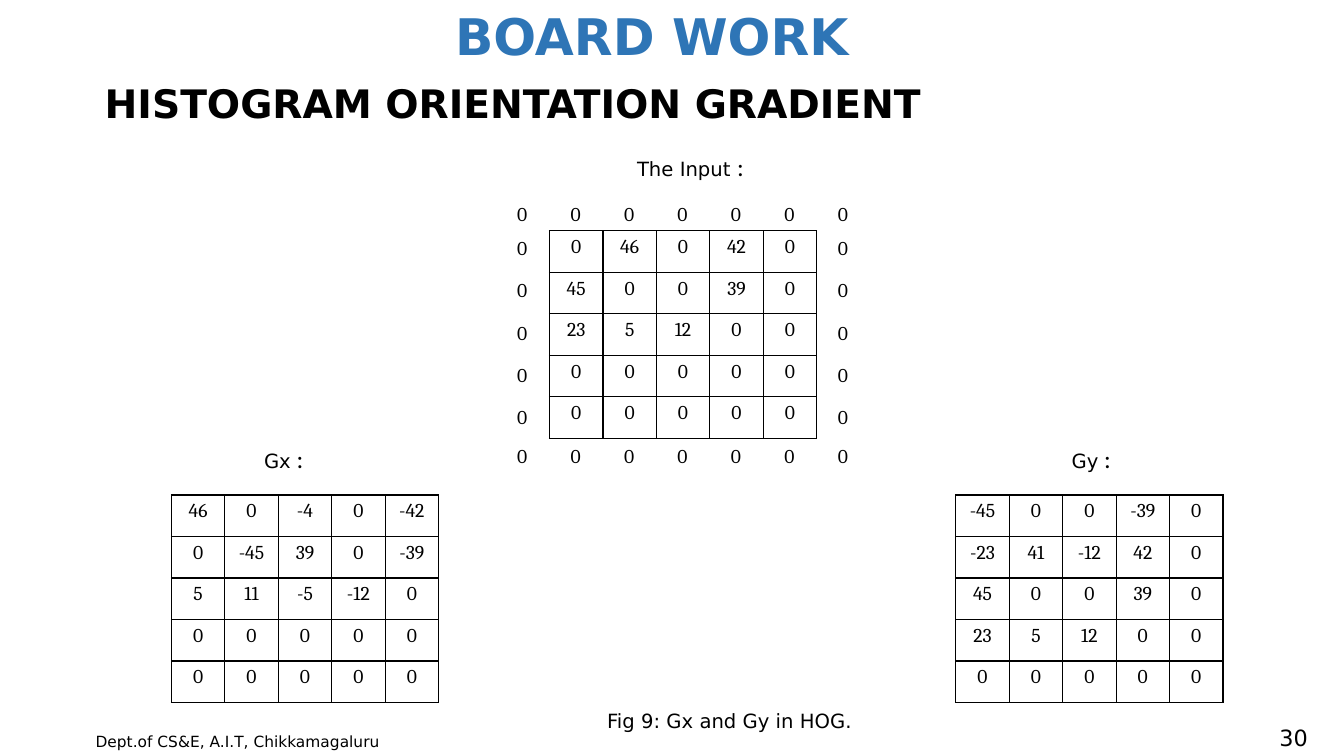
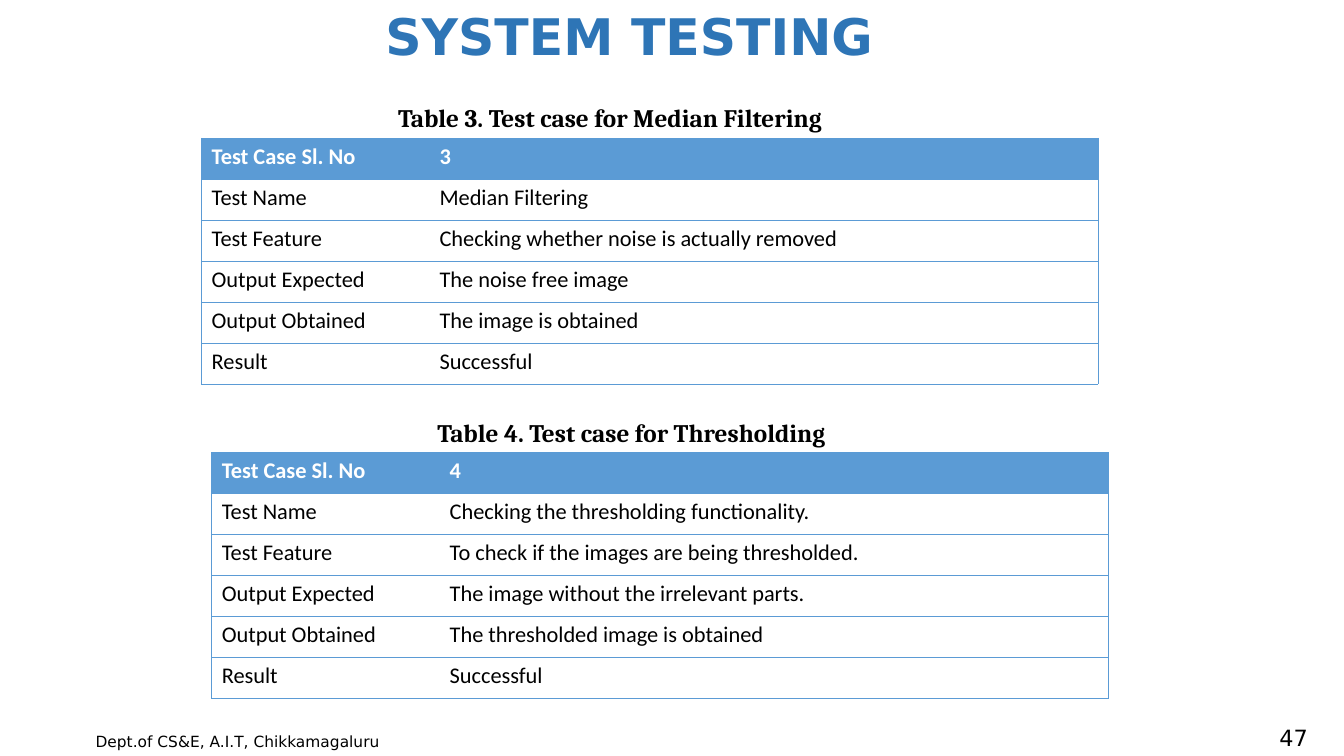
from pptx import Presentation
from pptx.dml.color import RGBColor
from pptx.enum.text import MSO_ANCHOR, MSO_AUTO_SIZE, PP_ALIGN
from pptx.oxml.ns import qn
from pptx.util import Inches, Pt
from lxml import etree

BLACK = RGBColor(0x00, 0x00, 0x00)
WHITE = RGBColor(0xFF, 0xFF, 0xFF)
TITLE_BLUE = RGBColor(0x2E, 0x75, 0xB6)
TABLE_BLUE = RGBColor(0x5B, 0x9B, 0xD5)

SANS, SERIF, PLAIN = "DejaVu Sans", "Cambria", "Calibri"
LEFT, CENTER, RIGHT = PP_ALIGN.LEFT, PP_ALIGN.CENTER, PP_ALIGN.RIGHT
TOP, MIDDLE = MSO_ANCHOR.TOP, MSO_ANCHOR.MIDDLE
NO_AUTOFIT = MSO_AUTO_SIZE.NONE
TITLE_ONLY = 5

DEPARTMENT = "Dept.of CS&E, A.I.T, Chikkamagaluru"
TEST_FIELDS = ["Test Case Sl. No", "Test Name", "Test Feature",
               "Output Expected", "Output Obtained", "Result"]

# Matrices: zero-padded input and its gradients
INPUT = [[0, 46, 0, 42, 0], [45, 0, 0, 39, 0], [23, 5, 12, 0, 0],
         [0] * 5, [0] * 5]
GX = [[46, 0, -4, 0, -42], [0, -45, 39, 0, -39], [5, 11, -5, -12, 0],
      [0] * 5, [0] * 5]
GY = [[-45, 0, 0, -39, 0], [-23, 41, -12, 42, 0], [45, 0, 0, 39, 0],
      [23, 5, 12, 0, 0], [0] * 5]


class Deck:
    """Shared style and the slide being built."""

    def __init__(self):
        self.prs = Presentation()
        self.prs.slide_width = Inches(13.33)
        self.prs.slide_height = Inches(7.5)
        self.slide = None

    @staticmethod
    def style(font, size, face, color=BLACK, bold=False):
        font.size, font.name, font.bold = Pt(size), face, bold
        font.color.rgb = color

    def new_slide(self, title, number, left, width):
        self.slide = self.prs.slides.add_slide(
            self.prs.slide_layouts[TITLE_ONLY])
        heading = self.slide.shapes.title
        heading.left, heading.top = Inches(left), Inches(0)
        heading.width, heading.height = Inches(width), Inches(0.71)
        frame = heading.text_frame
        frame.text = title
        frame.auto_size, frame.vertical_anchor = NO_AUTOFIT, MIDDLE
        frame.paragraphs[0].alignment = CENTER
        self.style(frame.paragraphs[0].font, 36, SANS, TITLE_BLUE, True)
        # Footer
        self.text(DEPARTMENT, 0.85, 7.21, 3.14, 0.29, 11)
        self.text(str(number), 12.57, 7.16, 0.5, 0.32, 16,
                  align=RIGHT, anchor=MIDDLE)

    def box(self, left, top, width, height, align=LEFT, anchor=TOP, wrap=True):
        frame = self.slide.shapes.add_textbox(
            Inches(left), Inches(top), Inches(width), Inches(height)).text_frame
        frame.word_wrap, frame.vertical_anchor = wrap, anchor
        frame.paragraphs[0].alignment = align
        return frame.paragraphs[0]

    def text(self, words, left, top, width, height, size, face=SANS,
             bold=False, **layout):
        paragraph = self.box(left, top, width, height, **layout)
        paragraph.text = words
        self.style(paragraph.font, size, face, bold=bold)

    def matrix_label(self, name, colon, left, top, width):
        paragraph = self.box(left, top, width, 0.4)
        for words, size, face in ((name, 14, SANS), (colon, 18, PLAIN)):
            run = paragraph.add_run()
            run.text = words
            self.style(run.font, size, face)

    def table(self, rows, left, top, width, height):
        table = self.slide.shapes.add_table(
            len(rows), len(rows[0]), Inches(left), Inches(top),
            Inches(width), Inches(height)).table
        table.horz_banding = False
        for r, values in enumerate(rows):
            for c, value in enumerate(values):
                table.cell(r, c).text = str(value)
        return table

    @staticmethod
    def borders(cell, color, points, sides="LRTB"):
        properties = cell._tc.get_or_add_tcPr()
        for side in "LRTB":
            line = etree.SubElement(properties, qn(f"a:ln{side}"),
                                    w=str(Pt(points)))
            if side in sides:
                fill = etree.SubElement(line, qn("a:solidFill"))
                etree.SubElement(fill, qn("a:srgbClr"), val=str(color))
            else:
                etree.SubElement(line, qn("a:noFill"))

    def matrix(self, rows, left, top):
        table = self.table(rows, left, top, 2.65, 2.06)
        table.first_row = False
        for cell in table.iter_cells():
            self.borders(cell, BLACK, 1)
            cell.fill.solid()
            cell.fill.fore_color.rgb = WHITE
            cell.margin_left = cell.margin_right = Inches(0.05)
            paragraph = cell.text_frame.paragraphs[0]
            paragraph.alignment = CENTER
            self.style(paragraph.font, 14, SERIF)

    def zero_padding(self):
        lefts = [4.91 + 0.53 * i for i in range(7)]
        tops = [1.95, *(2.29 + 0.42 * i for i in range(5)), 4.35]
        for top in tops:
            edge_row = top in (tops[0], tops[-1])
            for left in lefts if edge_row else (lefts[0], lefts[-1]):
                self.text("0", left, top, 0.54, 0.34, 14, SERIF, align=CENTER)

    def test_case(self, caption, caption_left, caption_width, left, top, values):
        self.text(caption, caption_left, top - 0.4, caption_width, 0.4, 18,
                  SERIF, True, wrap=False)
        table = self.table(list(zip(TEST_FIELDS, values)), left, top, 8.89, 2.44)
        table.columns[0].width, table.columns[1].width = Inches(2.26), Inches(6.63)
        for r, row in enumerate(table.rows):
            header = r == 0
            for cell, outer_side in zip(row.cells, "LR"):
                self.borders(cell, TABLE_BLUE, 0.5, "TB" + outer_side)
                cell.fill.solid()
                cell.fill.fore_color.rgb = TABLE_BLUE if header else WHITE
                self.style(cell.text_frame.paragraphs[0].font, 16, PLAIN,
                           WHITE if header else BLACK, header)


def main():
    deck = Deck()

    # Board work: gradient matrices
    deck.new_slide("BOARD WORK", 30, 1.05, 10.83)
    deck.text("HISTOGRAM ORIENTATION GRADIENT", 0.94, 0.74, 8.89, 0.57, 28,
              bold=True)
    deck.matrix_label("The Input ", ":", 6.22, 1.45, 1.3)
    deck.matrix(INPUT, 5.45, 2.29)
    deck.zero_padding()
    for name, rows, label_left, left in (("Gx", GX, 2.52, 1.7),
                                         ("Gy", GY, 10.53, 9.48)):
        deck.matrix_label(name, " :", label_left, 4.35, 0.71)
        deck.matrix(rows, left, 4.91)
    deck.text("Fig 9: Gx and Gy in HOG.", 4.59, 6.98, 5.29, 0.34, 14,
              align=CENTER)

    # System testing: test cases
    deck.new_slide("SYSTEM TESTING", 47, 2.9, 6.68)
    deck.test_case("Table 3. Test case for Median Filtering", 3.85, 4.57, 2, 1.37,
                   ["3", "Median Filtering",
                    "Checking whether noise is actually removed",
                    "The noise free image", "The image is obtained",
                    "Successful"])
    deck.test_case("Table 4. Test case for Thresholding", 4.24, 4.19, 2.1, 4.49,
                   ["4", "Checking the thresholding functionality.",
                    "To check if the images are being thresholded.",
                    "The image without the irrelevant parts.",
                    "The thresholded image is obtained", "Successful"])

    deck.prs.save("out.pptx")


if __name__ == "__main__":
    main()
